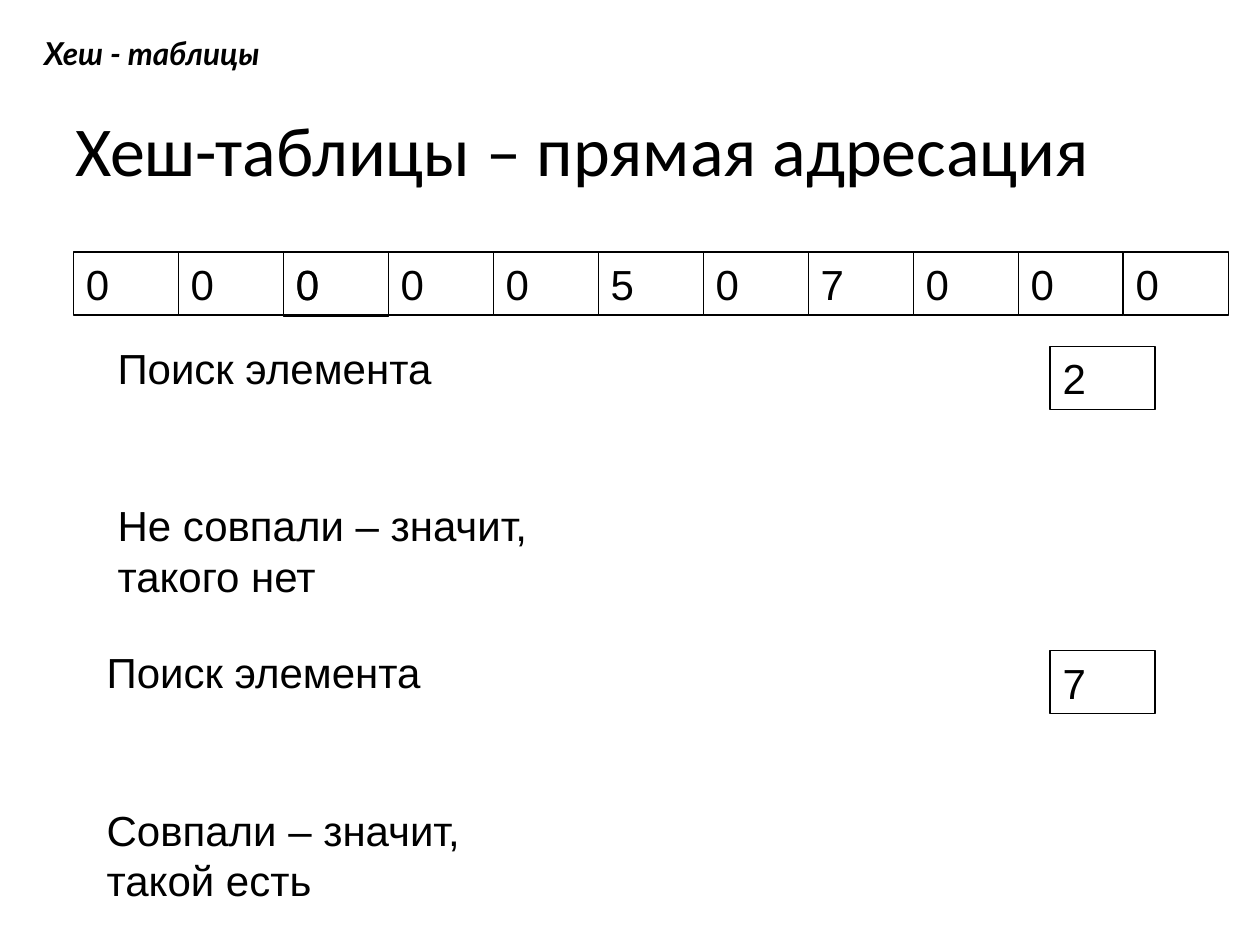
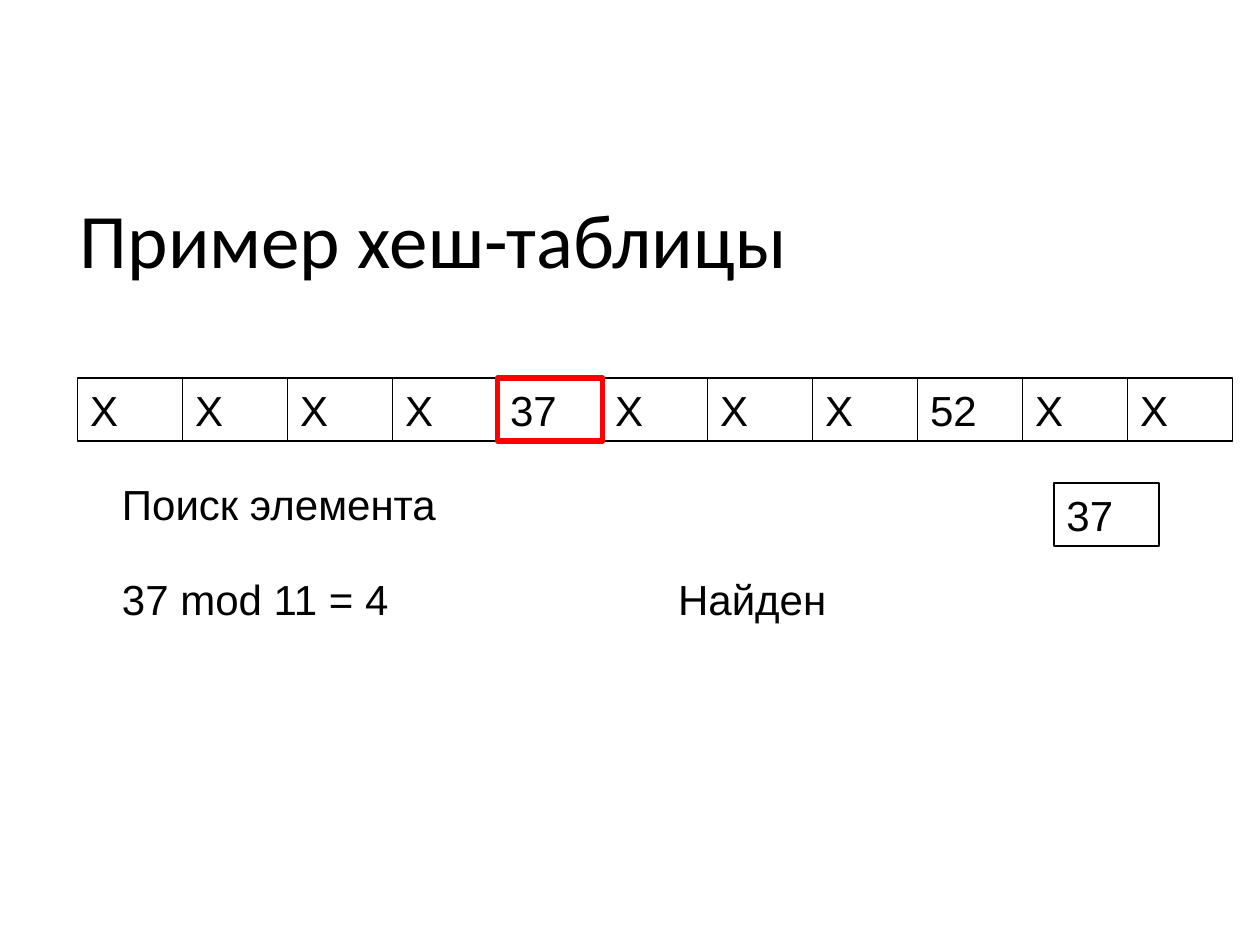
"""Build two slides on searching in a hash table."""
from dataclasses import dataclass
from typing import Optional

from pptx import Presentation
from pptx.dml.color import RGBColor
from pptx.enum.shapes import MSO_SHAPE
from pptx.enum.text import MSO_ANCHOR, PP_ALIGN
from pptx.util import Cm, Pt

RECTANGLE = MSO_SHAPE.RECTANGLE
TOP = MSO_ANCHOR.TOP
LEFT = PP_ALIGN.LEFT

COLORS = {"ink": "000000", "found": "FF0000"}
TITLE_FONT, HEADER_FONT, BODY_FONT = "Calibri", "Lato", "Arial"

SLOT_COUNT = 11
SLOT_WIDTH = 23.28 / SLOT_COUNT
SLOT_HEIGHT = 1.27
LABEL_WIDTH = 9.74
KEY_DROP = 0.21


@dataclass(frozen=True)
class Label:
    text: str
    left: float
    top: float


@dataclass(frozen=True)
class Search:
    key: str
    key_left: float
    left: float
    top: float
    results: tuple[Label, ...]


@dataclass(frozen=True)
class HashTable:
    values: tuple[Optional[str], ...]
    left: float
    top: float

    def slot_left(self, index: int) -> float:
        return self.left + index * SLOT_WIDTH


def write_text(shape, text: str, *, size: float = 24, font: str = BODY_FONT,
               bold: bool = False, italic: bool = False,
               line_spacing: Optional[float] = None) -> None:
    frame = shape.text_frame
    frame.word_wrap = True
    frame.vertical_anchor = TOP
    paragraph = frame.paragraphs[0]
    paragraph.alignment = LEFT
    paragraph.line_spacing = line_spacing
    run = paragraph.add_run()
    run.text = text
    run.font.name = font
    run.font.size = Pt(size)
    run.font.bold = bold
    run.font.italic = italic
    run.font.color.rgb = RGBColor.from_string(COLORS["ink"])


def add_text(slide, text: str, left: float, top: float, width: float,
             height: float, **text_format) -> None:
    shape = slide.shapes.add_textbox(Cm(left), Cm(top), Cm(width), Cm(height))
    write_text(shape, text, **text_format)


def add_title(slide, text: str, left: float, top: float, size: float) -> None:
    add_text(slide, text, left, top, 22.86, 3.18, size=size, font=TITLE_FONT,
             line_spacing=0.9)


def add_slot(shapes, left: float, top: float, text: str = "", *,
             height: float = SLOT_HEIGHT, color: str = "ink",
             weight: float = 0.75) -> None:
    shape = shapes.add_shape(RECTANGLE, Cm(left), Cm(top), Cm(SLOT_WIDTH), Cm(height))
    shape.shadow.inherit = False
    shape.fill.background()
    shape.line.color.rgb = RGBColor.from_string(COLORS[color])
    shape.line.width = Pt(weight)
    if text:
        write_text(shape, text)


def add_hash_table(slide, table: HashTable) -> None:
    group = slide.shapes.add_group_shape()
    for index, value in enumerate(table.values):
        if value is not None:
            add_slot(group.shapes, table.slot_left(index), table.top, value)


def add_search(slide, search: Search) -> None:
    add_slot(slide.shapes, search.key_left, search.top + KEY_DROP, search.key)
    heading = Label("Поиск элемента", search.left, search.top)
    for label in (heading, *search.results):
        add_text(slide, label.text, label.left, label.top, LABEL_WIDTH, SLOT_HEIGHT)


def build_direct_addressing(slide) -> None:
    add_text(slide, "Хеш - таблицы", 0.64, 0.56, 16.1, 1.02, size=18,
             font=HEADER_FONT, bold=True, italic=True)
    add_title(slide, "Хеш-таблицы – прямая адресация", 1.27, 2.21, 40)
    table = HashTable(("0",) * 5 + ("5", "0", None) + ("0",) * 3, 1.48, 5.08)
    add_hash_table(slide, table)
    add_slot(slide.shapes, table.slot_left(2), table.top, "0", height=1.3)
    add_slot(slide.shapes, table.slot_left(7), table.top, "7")
    searches = (
        Search("2", 21.17, 2.12, 6.77,
               (Label("Не совпали – значит, такого нет", 2.12, 9.95),)),
        Search("7", 21.17, 1.9, 12.91,
               (Label("Совпали – значит, такой есть", 1.9, 16.09),)),
    )
    for search in searches:
        add_search(slide, search)


def build_hash_example(slide) -> None:
    add_title(slide, "Пример хеш-таблицы", 1.36, 3.94, 44)
    values = ["X"] * SLOT_COUNT
    values[4], values[8] = "37", "52"
    table = HashTable(tuple(values), 1.57, 7.62)
    add_hash_table(slide, table)
    add_search(slide, Search("37", 21.25, 2.21, 9.53, (
        Label("37 mod 11 = 4", 2.21, 11.43),
        Label("Найден", 13.42, 11.43),
    )))
    add_slot(slide.shapes, table.slot_left(4), table.top, color="found", weight=3)


def main() -> None:
    presentation = Presentation()
    presentation.slide_width = Cm(25.4)
    presentation.slide_height = Cm(19.05)
    blank = presentation.slide_layouts[6]
    for build in (build_direct_addressing, build_hash_example):
        build(presentation.slides.add_slide(blank))
    presentation.save("out.pptx")


if __name__ == "__main__":
    main()
